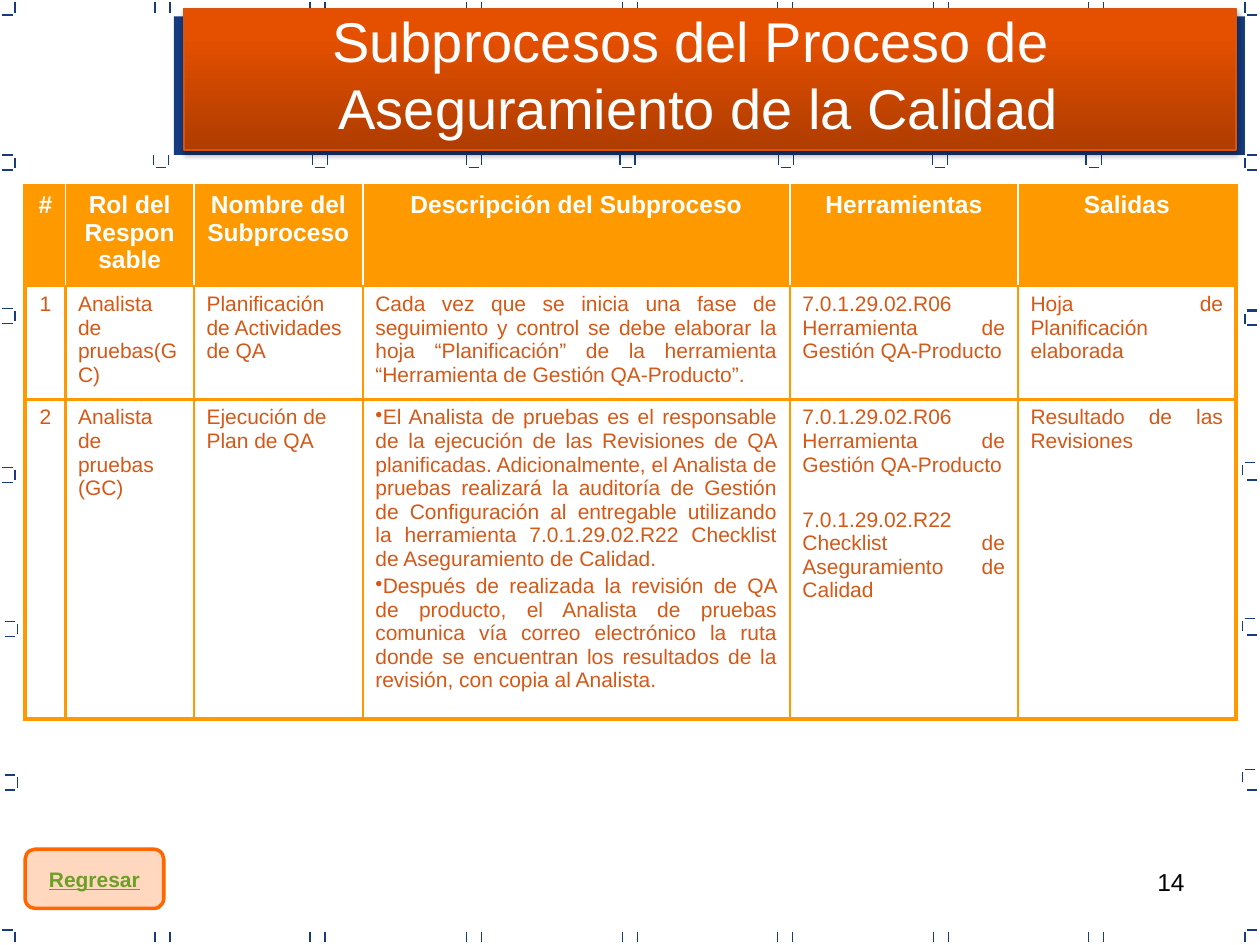
"""Build the slide on the subprocesses of quality assurance."""
from lxml import etree
from pptx import Presentation, util as u
from pptx.dml.color import RGBColor
from pptx.enum import shapes, text
from pptx.oxml import parse_xml
from pptx.oxml.ns import nsdecls, qn

COLORS = {"navy": "163B7F", "orange": "FF9900", "rust": "D55816", "white": "FFFFFF",
          "black": "000000", "button": "FF6600", "link": "6B9F25", "banner_line": "D55511",
          "banner_dark": "AF3D00", "banner_light": "E44F00"}
FONT = "Arial"
WIDTH, HEIGHT = 10, 7.5
LEFT, CENTER, JUSTIFY = text.PP_ALIGN.LEFT, text.PP_ALIGN.CENTER, text.PP_ALIGN.JUSTIFY

TITLE = ["Subprocesos del Proceso de ", "Aseguramiento de la Calidad"]
HEADERS = ["#", "Rol del Responsable", "Nombre del Subproceso", "Descripción del Subproceso",
           "Herramientas", "Salidas"]
ROWS = [
    [["1"], ["Analista de pruebas(GC)"], ["Planificación de Actividades de QA"],
     ["Cada vez que se inicia una fase de seguimiento y control se debe elaborar la hoja "
      "“Planificación” de la herramienta “Herramienta de Gestión QA-Producto”."],
     ["7.0.1.29.02.R06 Herramienta de Gestión QA-Producto"],
     ["Hoja de Planificación elaborada"]],
    [["2"], ["Analista de pruebas (GC)"], ["Ejecución de Plan de QA"],
     ["El Analista de pruebas es el responsable de la ejecución de las Revisiones de QA "
      "planificadas. Adicionalmente, el Analista de pruebas realizará la auditoría de Gestión "
      "de Configuración al entregable utilizando la herramienta 7.0.1.29.02.R22 Checklist de "
      "Aseguramiento de Calidad.",
      "Después de realizada la revisión de QA de producto, el Analista de pruebas comunica vía "
      "correo electrónico la ruta donde se encuentran los resultados de la revisión, con copia "
      "al Analista."],
     ["7.0.1.29.02.R06 Herramienta de Gestión QA-Producto",
      "7.0.1.29.02.R22 Checklist de Aseguramiento de Calidad"],
     ["Resultado de las Revisiones"]],
]
COLUMN_WIDTHS = [0.32, 1.02, 1.34, 3.39, 1.81, 1.73]
ROW_HEIGHTS = [0.47, 0.78, 2.32]
COLUMN_ALIGNMENTS = [CENTER, LEFT, LEFT, JUSTIFY, JUSTIFY, JUSTIFY]
DESCRIPTION, TOOLS = 3, 4

TICK, GAP, PAIR = 0.08, 0.02, 0.12
EDGE_COLUMNS = [round(1.23 + 1.235 * index, 2) for index in range(7)]
BANNER_BRACKETS = [1.22, 2.48, 3.7, 4.92, 6.18, 7.4, 8.62]
LEFT_BRACKETS = [(0.02, 1.23), (0.02, 2.45), (0.02, 3.71), (0.04, 4.93), (0.04, 6.15)]
RIGHT_HOOKS = [(9.88, 1.23), (9.88, 2.47), (9.86, 3.67), (9.86, 4.91), (9.86, 6.11)]
RIGHT_DASHES = [1.35, 2.46, 2.58, 3.81, 5.04, 6.27]


def rgb(name):
    return RGBColor.from_string(COLORS[name])


def inches(*lengths):
    return [u.Inches(length) for length in lengths]


def write(frame, paragraphs, size=12, color="rust", bold=False, underline=False,
          align=LEFT, gap=0, bullet=None):
    """Fill a text frame with paragraphs that share one format."""
    for index, content in enumerate(paragraphs):
        paragraph = frame.add_paragraph() if index else frame.paragraphs[0]
        paragraph.alignment = align
        if index and gap:
            paragraph.space_before = u.Pt(gap)
        if bullet:
            properties = paragraph._p.get_or_add_pPr()
            properties.set("marL", "0")
            properties.set("indent", "0")
            etree.SubElement(properties, qn("a:buChar")).set("char", bullet)
        run = paragraph.add_run()
        run.text = content
        font = run.font
        font.name, font.size, font.bold, font.underline = FONT, u.Pt(size), bold, underline
        font.color.rgb = rgb(color)


def add_tick(slide, x, y, vertical):
    end = (x, y + TICK) if vertical else (x + TICK, y)
    line = slide.shapes.add_connector(shapes.MSO_CONNECTOR.STRAIGHT, *inches(x, y, *end))
    line.line.color.rgb = rgb("navy")
    line.line.width = u.Pt(0.75)
    etree.SubElement(line._element.spPr, qn("a:effectLst"))


def frame_ticks():
    """List every border tick as x, y and whether it is vertical."""
    bottom = HEIGHT - GAP - TICK
    ticks = [(x + offset, y, True) for x in EDGE_COLUMNS
             for offset in (0, PAIR) for y in (GAP, bottom)]
    for vertical_x, dash_x in ((0.12, 0.02), (9.88, 9.9)):
        ticks += [(vertical_x, GAP, True), (dash_x, PAIR, False),
                  (vertical_x, bottom, True), (dash_x, bottom - GAP, False)]
    for x in BANNER_BRACKETS:
        ticks += [(x, 1.23, True), (x + PAIR, 1.23, True), (x + GAP, 1.33, False)]
    for x, y in LEFT_BRACKETS:
        ticks += [(x, y, False), (x + TICK + GAP, y + GAP, True), (x, y + PAIR, False)]
    for x, y in RIGHT_HOOKS:
        ticks += [(x + GAP, y, False), (x, y + GAP, True)]
    return ticks + [(9.9, y, False) for y in RIGHT_DASHES]


def add_box(slide, kind, place, fill=None, line=None, width=1):
    shape = slide.shapes.add_shape(kind, *inches(*place))
    shape.shadow.inherit = False
    if fill:
        shape.fill.solid()
        shape.fill.fore_color.rgb = rgb(fill)
    if line:
        shape.line.color.rgb = rgb(line)
        shape.line.width = u.Pt(width)
    else:
        shape.line.fill.background()
    return shape


def add_banner(slide):
    banner = add_box(slide, shapes.MSO_SHAPE.RECTANGLE, (1.46, 0.07, 8.35, 1.12),
                     line="banner_line", width=0.75)
    banner.fill.gradient()
    banner.fill.gradient_angle = 90
    stops = zip(banner.fill.gradient_stops, ((0, "banner_dark"), (0.8, "banner_light")))
    for stop, (position, color) in stops:
        stop.position = position
        stop.color.rgb = rgb(color)
    banner._element.spPr.find(qn("a:effectLst")).append(parse_xml(
        f'<a:outerShdw {nsdecls("a")} blurRad="{u.Pt(3.1)}" dist="{u.Pt(1.8)}" dir="5400000" '
        f'rotWithShape="0"><a:srgbClr val="{COLORS["black"]}"><a:alpha val="35000"/>'
        '</a:srgbClr></a:outerShdw>'))


def set_borders(cell, row, column):
    last_row, last_column = len(ROW_HEIGHTS) - 1, len(COLUMN_WIDTHS) - 1
    inner = ("white", 1) if row == 0 else ("orange", 1.5)
    outer = ("orange", 2.25)
    sides = {"L": outer if column == 0 else inner,
             "R": outer if column == last_column else inner,
             "T": outer if row == 0 else ("orange", 1.5),
             "B": outer if row == last_row else ("orange", 1.5)}
    for side, (color, width) in sides.items():
        cell._tc.get_or_add_tcPr().append(parse_xml(
            f'<a:ln{side} {nsdecls("a")} w="{u.Pt(width)}"><a:solidFill>'
            f'<a:srgbClr val="{COLORS[color]}"/></a:solidFill></a:ln{side}>'))


def add_process_table(slide):
    place = inches(0.2, 1.47, sum(COLUMN_WIDTHS), sum(ROW_HEIGHTS))
    table = slide.shapes.add_table(len(ROW_HEIGHTS), len(COLUMN_WIDTHS), *place).table
    table.first_row = table.horz_banding = False
    for column, width in zip(table.columns, COLUMN_WIDTHS):
        column.width = u.Inches(width)
    for row, height in zip(table.rows, ROW_HEIGHTS):
        row.height = u.Inches(height)
    for row, contents in enumerate([[[header] for header in HEADERS], *ROWS]):
        for column, paragraphs in enumerate(contents):
            cell = table.cell(row, column)
            set_borders(cell, row, column)
            if row == 0:
                cell.fill.solid()
                cell.fill.fore_color.rgb = rgb("orange")
                write(cell.text_frame, paragraphs, size=14, color="white", bold=True,
                      align=CENTER)
            else:
                cell.fill.background()
                bulleted = column == DESCRIPTION and len(paragraphs) > 1
                write(cell.text_frame, paragraphs, align=COLUMN_ALIGNMENTS[column],
                      gap=18 if column == TOOLS else 2.4, bullet="•" if bulleted else None)


def main():
    presentation = Presentation()
    presentation.slide_width, presentation.slide_height = inches(WIDTH, HEIGHT)
    slide = presentation.slides.add_slide(presentation.slide_layouts[5])

    number = slide.shapes.add_textbox(*inches(7.17, 6.83, 2.33, 0.52))
    number.text_frame.word_wrap = True
    write(number.text_frame, ["14"], size=14, color="black", align=text.PP_ALIGN.RIGHT)

    for tick in frame_ticks():
        add_tick(slide, *tick)
    add_box(slide, shapes.MSO_SHAPE.RECTANGLE, (1.38, 0.13, 8.5, 1.1), fill="navy")
    add_process_table(slide)

    button = add_box(slide, shapes.MSO_SHAPE.FLOWCHART_ALTERNATE_PROCESS,
                     (0.2, 6.74, 1.1, 0.47), fill="button", line="button", width=2)
    fill_color = button._element.spPr.find(qn("a:solidFill"))[0]
    etree.SubElement(fill_color, qn("a:alpha")).set("val", "25000")
    button.text_frame.word_wrap = False
    button.text_frame.vertical_anchor = text.MSO_ANCHOR.MIDDLE
    write(button.text_frame, ["Regresar"], color="link", bold=True, underline=True,
          align=CENTER)

    add_banner(slide)
    title = slide.shapes.title
    title.left, title.top, title.width, title.height = inches(1.46, 0, 8.17, 1.17)
    title.text_frame.vertical_anchor = text.MSO_ANCHOR.MIDDLE
    title.text_frame.auto_size = text.MSO_AUTO_SIZE.NONE
    write(title.text_frame, TITLE, size=32, color="white", align=CENTER)
    title.element.getparent().append(title.element)
    presentation.save("out.pptx")


if __name__ == "__main__":
    main()
